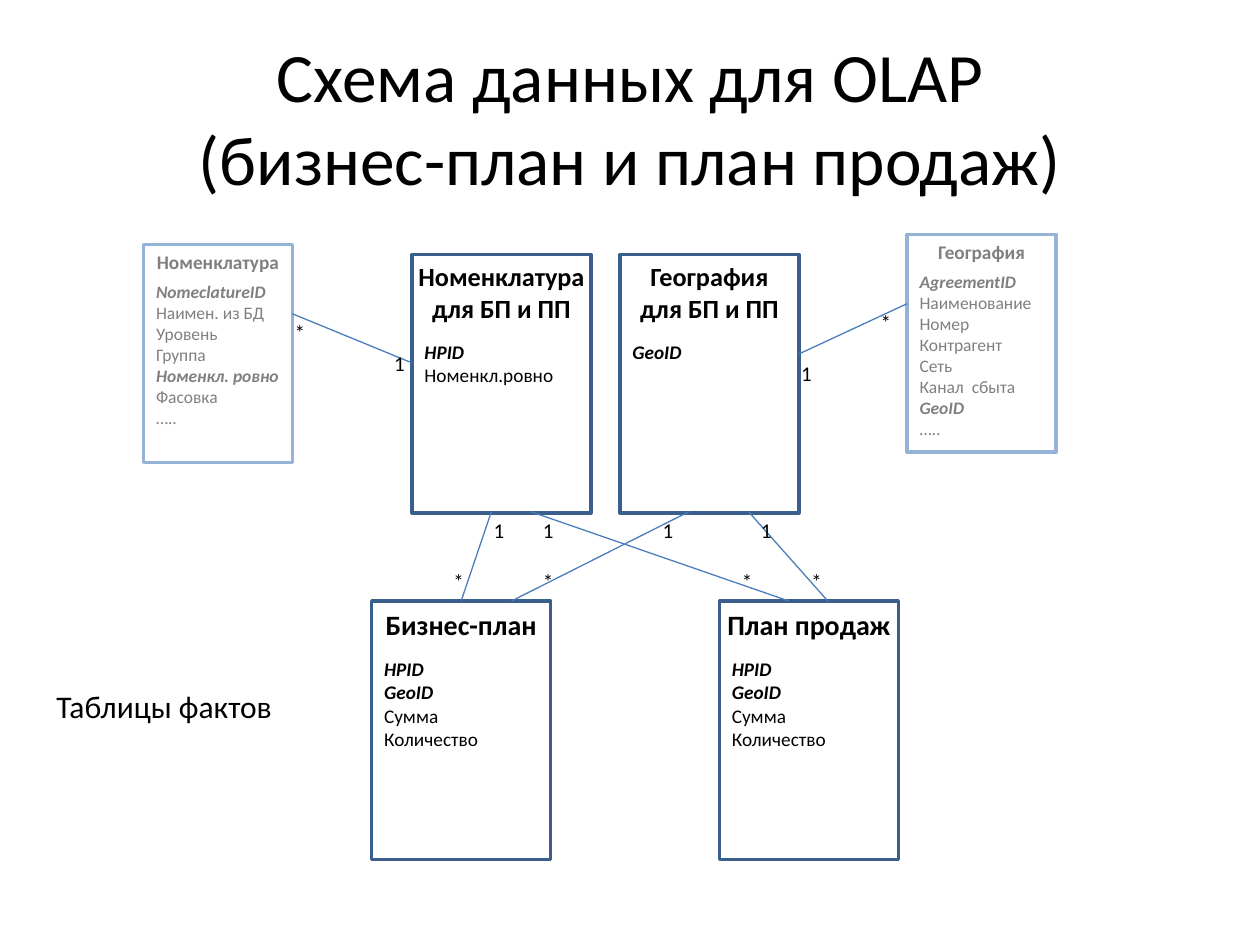
from dataclasses import dataclass

from lxml import etree
from pptx import Presentation
from pptx.dml.color import RGBColor
from pptx.enum.shapes import MSO_CONNECTOR, MSO_SHAPE
from pptx.enum.text import MSO_ANCHOR, MSO_AUTO_SIZE, PP_ALIGN
from pptx.oxml.ns import qn
from pptx.util import Inches, Pt

FONT = "Calibri"
BLACK, GREY = "000000", "808080"
DARK_BLUE, PALE_BLUE, LINK_BLUE = "3A5F8C", "95B3D7", "4B7EBC"
FACT_TOP, DIMENSION_TOP, DIMENSION_BOTTOM = 4.77, 2.02, 4.06


@dataclass
class TableStyle:
    width: float
    height: float
    outline: str
    text_color: str
    title_size: int
    title_height: float
    field_size: int
    field_offset: float


FACT = TableStyle(1.42, 2.05, DARK_BLUE, BLACK, 16, 0.37, 11, 0.4)
DIMENSION = TableStyle(1.42, 2.05, DARK_BLUE, BLACK, 15, 0.61, 11, 0.63)
SOURCE = TableStyle(1.18, 1.73, PALE_BLUE, GREY, 11, 0.29, 10, 0.24)

# Key fields are marked with a leading "#"
FACT_FIELDS = ["#HPID", "#GeoID", "Сумма", "Количество"]

# style, left, top, title, title overhang on each side, fields
TABLES = [
    (FACT, 2.95, FACT_TOP, "Бизнес-план", 0, FACT_FIELDS),
    (FACT, 5.71, FACT_TOP, "План продаж", 0.08, FACT_FIELDS),
    (DIMENSION, 3.27, DIMENSION_TOP, "Номенклатура для БП и ПП", 0.08,
     ["#HPID", "Номенкл.ровно"]),
    (DIMENSION, 4.92, DIMENSION_TOP, "География для БП и ПП", 0, ["#GeoID"]),
    (SOURCE, 7.2, 1.86, "География", 0,
     ["#AgreementID", "Наименование\nНомер", "Контрагент", "Сеть",
      "Канал  сбыта", "#GeoID", "….."]),
    (SOURCE, 1.14, 1.94, "Номенклатура", 0,
     ["#NomeclatureID", "Наимен. из БД\nУровень", "Группа",
      "#Номенкл. ровно", "Фасовка", "….."]),
]

RELATIONS = [
    (5.47, DIMENSION_BOTTOM, 4.06, FACT_TOP),
    (3.9, DIMENSION_BOTTOM, 3.66, FACT_TOP),
    (5.94, DIMENSION_BOTTOM, 6.57, FACT_TOP),
    (4.21, DIMENSION_BOTTOM, 6.26, FACT_TOP),
    (2.32, 2.49, 3.27, 2.88),
    (7.2, 2.41, 6.34, 2.81),
]

CARDINALITIES = [("*", 2.24, 2.49), ("1", 3.03, 2.73),
                 ("1", 6.26, 2.81), ("*", 6.89, 2.41)]
CARDINALITIES += [("*", left, 4.46) for left in (6.34, 5.79, 4.21, 3.5)]
CARDINALITIES += [("1", left, DIMENSION_BOTTOM) for left in (3.82, 4.21, 5.16, 5.94)]


def color(value):
    return RGBColor.from_string(value)


def set_font(paragraph, size, text_color, bold=False, italic=False):
    font = paragraph.font
    font.name, font.size = FONT, Pt(size)
    font.bold, font.italic = bold, italic
    font.color.rgb = color(text_color)


def add_text(slide, lines, left, top, width, height, size, text_color=BLACK,
             bold=False, align=PP_ALIGN.LEFT, wrap=True):
    box = slide.shapes.add_textbox(Inches(left), Inches(top), Inches(width), Inches(height))
    frame = box.text_frame
    frame.word_wrap = wrap
    for index, line in enumerate(lines):
        paragraph = frame.add_paragraph() if index else frame.paragraphs[0]
        is_key = line.startswith("#")
        paragraph.text = line.removeprefix("#")
        paragraph.alignment = align
        set_font(paragraph, size, text_color, bold or is_key, is_key)


def add_table_box(slide, style, left, top, title, overhang, fields):
    box = slide.shapes.add_shape(MSO_SHAPE.RECTANGLE, Inches(left), Inches(top),
                                 Inches(style.width), Inches(style.height))
    box.shadow.inherit = False
    box.fill.background()
    box.line.color.rgb = color(style.outline)
    box.line.width = Pt(2)
    add_text(slide, [title], left - overhang, top, style.width + 2 * overhang,
             style.title_height, style.title_size, style.text_color,
             bold=True, align=PP_ALIGN.CENTER)
    add_text(slide, fields, left, top + style.field_offset, style.width,
             style.height - style.field_offset, style.field_size, style.text_color)


def add_relation(slide, *ends):
    line = slide.shapes.add_connector(MSO_CONNECTOR.STRAIGHT, *map(Inches, ends))
    line.line.color.rgb = color(LINK_BLUE)
    line.line.width = Pt(0.75)
    etree.SubElement(line._element.spPr, qn("a:effectLst"))


def set_title(slide, text):
    title = slide.shapes.title
    title.left, title.top = Inches(0.5), Inches(0.3)
    title.width, title.height = Inches(9), Inches(1.25)
    frame = title.text_frame
    frame.auto_size = MSO_AUTO_SIZE.NONE
    frame.vertical_anchor = MSO_ANCHOR.MIDDLE
    paragraph = frame.paragraphs[0]
    paragraph.text = text
    paragraph.alignment = PP_ALIGN.CENTER
    set_font(paragraph, 39.6, BLACK)


def main():
    presentation = Presentation()
    presentation.slide_width, presentation.slide_height = Inches(10), Inches(7.5)
    slide = presentation.slides.add_slide(presentation.slide_layouts[5])

    # Headings
    set_title(slide, "Схема данных для OLAP\n(бизнес-план и план продаж)")
    add_text(slide, ["Таблицы фактов"], 0.35, 5.4, 1.93, 0.4, 18, wrap=False)

    # Tables of the schema
    for table in TABLES:
        add_table_box(slide, *table)

    # Relations and their cardinalities
    for relation in RELATIONS:
        add_relation(slide, *relation)
    for mark, left, top in CARDINALITIES:
        add_text(slide, [mark], left, top, 0.29, 0.3, 12)

    presentation.save("out.pptx")


main()
